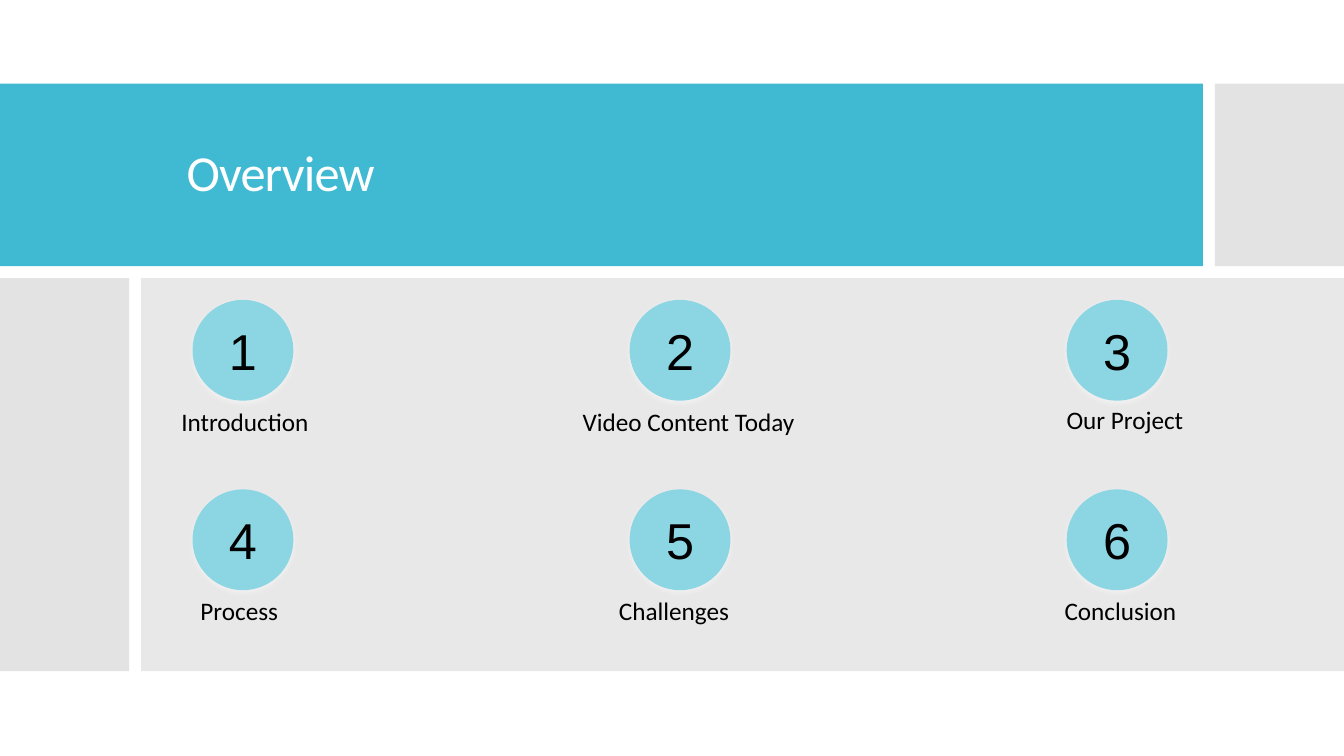
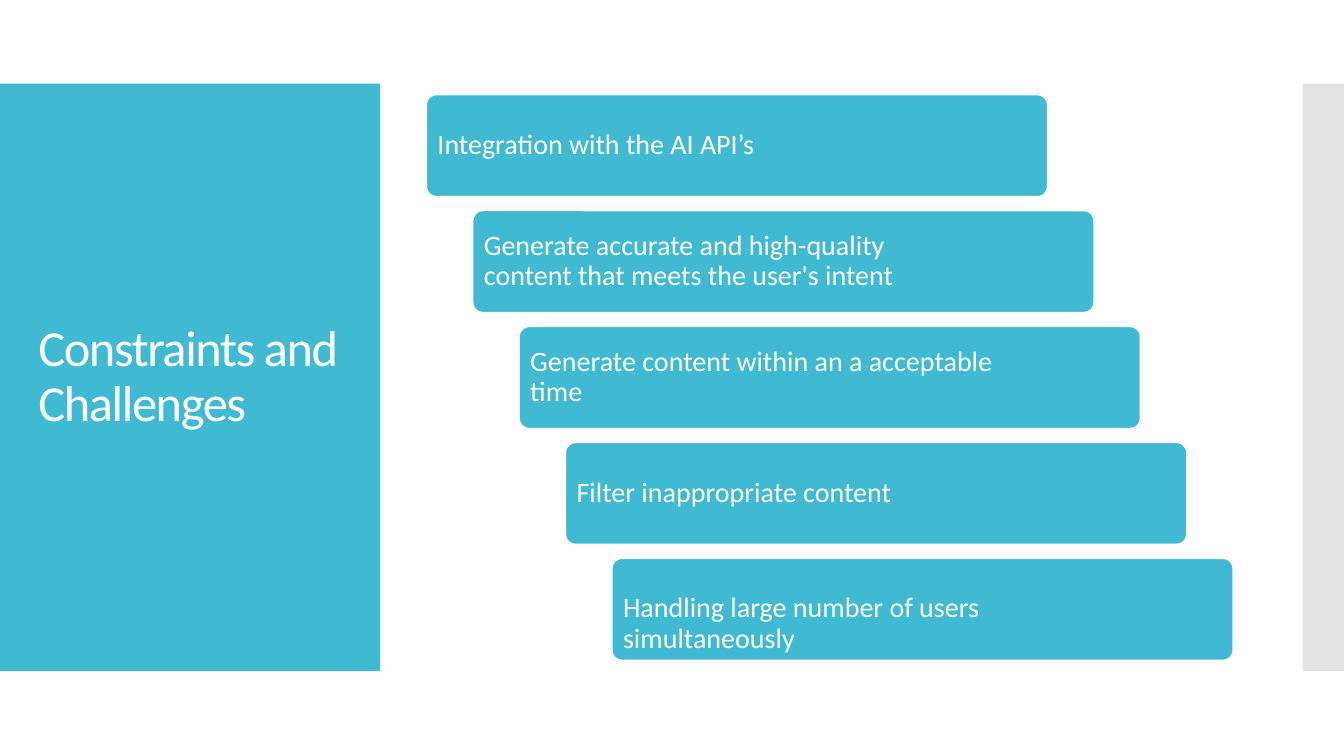
from pptx import Presentation
from pptx.dml.color import RGBColor
from pptx.enum.shapes import MSO_SHAPE as Shape
from pptx.enum.text import MSO_ANCHOR as Anchor, PP_ALIGN as Align
from pptx.oxml import parse_xml
from pptx.oxml.ns import nsdecls, qn
from pptx.util import Inches, Pt
from lxml.etree import SubElement

TEAL = RGBColor(0x40, 0xBA, 0xD2)
LIGHT_TEAL = RGBColor(0x8C, 0xD6, 0xE4)
GRAY = RGBColor(0xC8, 0xC8, 0xC8)
PALE_GRAY = RGBColor(0xD9, 0xD9, 0xD9)
WHITE = RGBColor(0xFF, 0xFF, 0xFF)
BLACK = RGBColor(0, 0, 0)

BAND_TOP, BAND_HEIGHT = 0.83, 5.83
GLOW = (
    f'<a:effectLst {nsdecls("a")}><a:outerShdw blurRad="{Pt(4.5)}" dist="{Pt(1.5)}" '
    'dir="5400000" rotWithShape="0"><a:srgbClr val="FFFFFF"><a:alpha val="50000"/>'
    '</a:srgbClr></a:outerShdw></a:effectLst>'
)


def add_filled(slide, kind, box, color, opacity=100):
    """Add a shape without line or shadow; box is left, top, width, height in inches."""
    shape = slide.shapes.add_shape(kind, *map(Inches, box))
    shape.shadow.inherit = False
    shape.line.fill.background()
    shape.fill.solid()
    shape.fill.fore_color.rgb = color
    if opacity < 100:
        color_node = shape.fill._xPr.find(qn("a:solidFill"))[0]
        SubElement(color_node, qn("a:alpha")).set("val", str(opacity * 1000))
    return shape


def write_text(shape, text, size, color, font="Calibri", align=Align.LEFT,
               anchor=Anchor.MIDDLE, insets=(0.1, 0.05, 0.1, 0.05),
               line_spacing=1.0, tracking=0):
    """Fill the shape with one paragraph; insets are left, top, right, bottom."""
    frame = shape.text_frame
    frame.word_wrap = True
    frame.vertical_anchor = anchor
    (frame.margin_left, frame.margin_top,
     frame.margin_right, frame.margin_bottom) = map(Inches, insets)
    paragraph = frame.paragraphs[0]
    paragraph.alignment = align
    paragraph.line_spacing = line_spacing
    run = paragraph.add_run()
    run.text = text
    run.font.name = font
    run.font.size = Pt(size)
    run.font.color.rgb = color
    if tracking:
        run.font._element.set("spc", str(round(tracking * 100)))


presentation = Presentation()
presentation.slide_width = Inches(13.33)
presentation.slide_height = Inches(7.5)
title_only = presentation.slide_layouts[5]

# Both slides: bands (box, colour, opacity) with the title in front
slide_frames = [
    ("Overview", (1.75, 1.19, 9.82, 1.09), -0.6, [
        ((0, BAND_TOP, 11.93, 1.81), TEAL, 100),
        ((12.05, BAND_TOP, 1.28, 1.81), GRAY, 50),
        ((0, 2.76, 1.28, 3.9), GRAY, 50),
        ((1.4, 2.76, 11.93, 3.9), PALE_GRAY, 60),
    ]),
    ("Constraints and Challenges", (0.28, 1.23, 3.22, 5.03), -1, [
        ((0, BAND_TOP, 3.77, BAND_HEIGHT), TEAL, 100),
        ((12.92, BAND_TOP, 0.41, BAND_HEIGHT), GRAY, 50),
    ]),
]
slides = []
for heading, title_box, tracking, bands in slide_frames:
    slide = presentation.slides.add_slide(title_only)
    for box, color, opacity in bands:
        add_filled(slide, Shape.RECTANGLE, box, color, opacity)
    title = slide.shapes.title
    title.left, title.top, title.width, title.height = map(Inches, title_box)
    write_text(title, heading, 36, WHITE, line_spacing=0.9, tracking=tracking)
    title.element.getparent().append(title.element)
    slides.append(slide)
overview, constraints = slides

# Overview: numbered circles in a 3 by 2 grid; label text, left, top, width
topics = [
    ("Introduction", 1.7, 3.98, 1.59),
    ("Video Content Today", 5.68, 3.98, 2.5),
    ("Our Project", 10.48, 3.96, 1.73),
    ("Process", 1.89, 5.86, 1),
    ("Challenges", 6.04, 5.86, 1.42),
    ("Conclusion", 10.46, 5.86, 1.59),
]
for index, (topic, left, top, width) in enumerate(topics):
    row, column = divmod(index, 3)
    circle_box = (1.91 + 4.335 * column, 2.975 + 1.88 * row, 1, 1)
    circle = add_filled(overview, Shape.OVAL, circle_box, LIGHT_TEAL)
    properties = circle.element.spPr
    properties.replace(properties.find(qn("a:effectLst")), parse_xml(GLOW))
    write_text(circle, str(index + 1), 36, BLACK, font="Arial",
               align=Align.CENTER, insets=(0.1,) * 4)
    label = overview.shapes.add_textbox(*map(Inches, (left, top, width, 0.4)))
    write_text(label, topic, 18, BLACK, anchor=Anchor.TOP)

# Constraints: a staircase of boxes, the last one with its text set low
challenges = [
    "Integration with the AI API’s",
    "Generate accurate and high-quality content that meets the user's intent",
    "Generate content within an a acceptable time",
    "Filter inappropriate content",
    "Handling large number of users simultaneously",
]
for step, challenge in enumerate(challenges):
    is_last = step == len(challenges) - 1
    step_box = (4.23 + 0.46 * step, 0.94 + 1.15 * step, 6.16, 1.01)
    box = add_filled(constraints, Shape.ROUNDED_RECTANGLE, step_box, TEAL)
    box.adjustments[0] = 0.1
    box.line.color.rgb = WHITE
    box.line.width = Pt(0.85)
    write_text(box, challenge, 20, WHITE, line_spacing=0.9,
               anchor=Anchor.BOTTOM if is_last else Anchor.MIDDLE,
               insets=(0.08, 0.08, 1.19, 0.03 if is_last else 0.08))

presentation.save("out.pptx")
